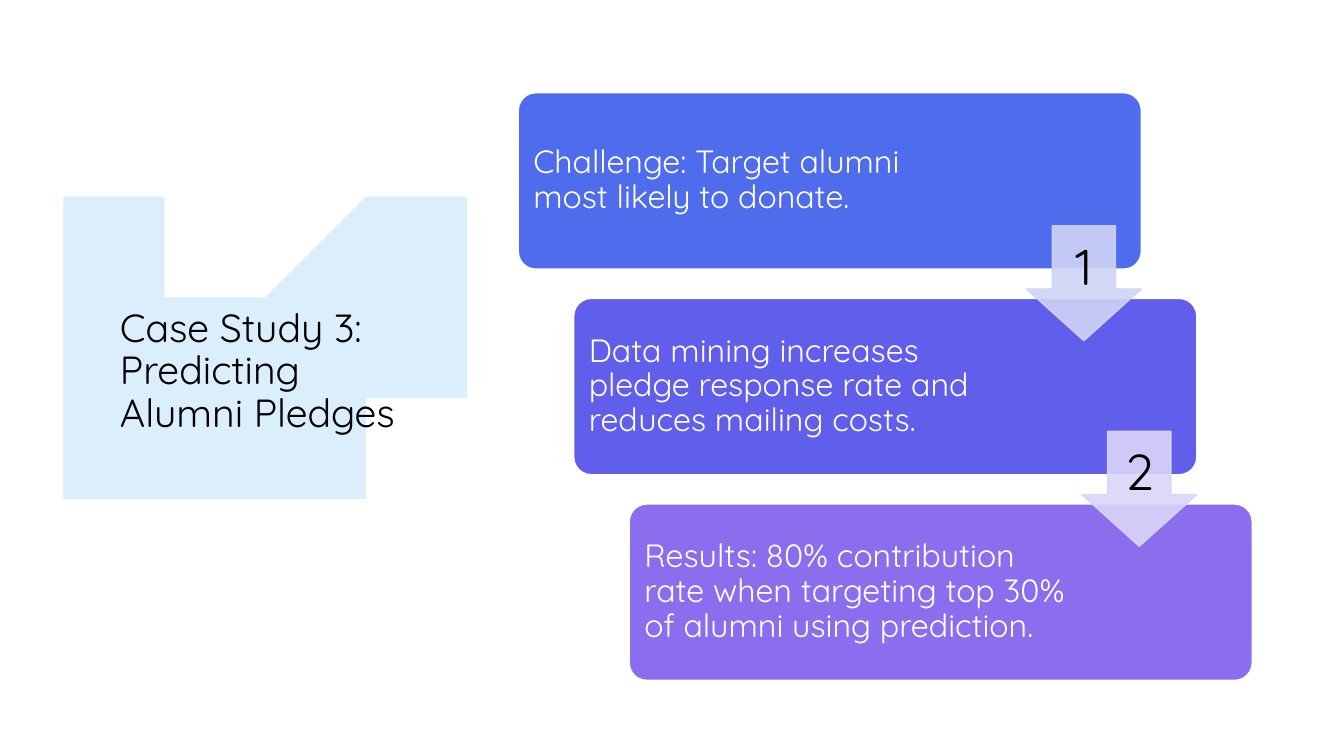
from dataclasses import dataclass
from lxml import etree
from pptx import Presentation
from pptx.dml.color import RGBColor
from pptx.enum.shapes import MSO_SHAPE
from pptx.enum.text import MSO_ANCHOR, PP_ALIGN
from pptx.oxml.ns import qn
from pptx.util import Inches, Pt

ROUND = MSO_SHAPE.ROUNDED_RECTANGLE
ARROW = MSO_SHAPE.DOWN_ARROW
MIDDLE = MSO_ANCHOR.MIDDLE
LEFT, CENTER = PP_ALIGN.LEFT, PP_ALIGN.CENTER


@dataclass(frozen=True)
class Theme:
    """Colours, font and type sizes of the slide."""
    font: str = "Quicksand"
    ink: str = "000000"
    paper: str = "FFFFFF"
    brush: str = "DAEEFB"
    cards: tuple = ("4E6CEB", "615EEC", "8B6EEE")
    arrows: tuple = ("D0D4F7", "DAD5F8")
    alpha: int = 90
    title: int = 28
    body: int = 23
    digit: int = 36


THEME = Theme()

STEPS = (
    "Challenge: Target alumni most likely to donate.",
    "Data mining increases pledge response rate and reduces mailing costs.",
    "Results: 80% contribution rate when targeting top 30% of alumni using prediction.",
)

TOP = ((0.23, 0.25), (1.1, 0.9), (2.2, 0.85), (3.67, 0))
RIGHT = ((3.75, 0.08), (3.85, 0.95), (4.45, 1.5), (3.65, 2.3))
BASE = ((3.65, 2.3), (3.64, 2.3), (2.94, 3.09), (1.92, 3.16))
HEEL = ((1.92, 3.16), (1.5, 3.2), (0.8, 3.15), (0.6, 2.95))
TIPS = ((0.45, 2.9), (-0.25, 2.2), (0.1, 1.2), (0.23, 0.25))
DEPTHS = (0.15, 0.35, 0.22)


def color(hue):
    """Turn a hex string into a colour."""
    return RGBColor.from_string(hue)


def write(shape, text, size, hue, align=LEFT):
    """Set one styled paragraph in a shape."""
    frame = shape.text_frame
    frame.word_wrap = True
    frame.vertical_anchor = MIDDLE
    frame.text = text
    para = frame.paragraphs[0]
    para.alignment = align
    para.line_spacing = 0.9
    para.font.name = THEME.font
    para.font.size = Pt(size)
    para.font.color.rgb = color(hue)


def inset(shape, all_round, right):
    """Set the text margins of a shape, with its own right one."""
    frame = shape.text_frame
    frame.margin_left = frame.margin_top = Inches(all_round)
    frame.margin_bottom = Inches(all_round)
    frame.margin_right = Inches(right)


def paint(shape, fill, edge):
    """Give a shape a flat fill and a thin line."""
    shape.shadow.inherit = False
    shape.fill.solid()
    shape.fill.fore_color.rgb = color(fill)
    shape.line.color.rgb = color(edge)
    shape.line.width = Pt(1)


def fade(shape):
    """Make the fill and line of a shape slightly clear."""
    for tone in shape.element.spPr.iter(qn("a:srgbClr")):
        etree.SubElement(tone, qn("a:alpha"), val=str(THEME.alpha * 1000))


def curve(poles, count):
    """Sample a cubic curve in equal steps."""
    spots = []
    for i in range(count + 1):
        t = i / count
        parts = ((1 - t) ** 3, 3 * t * (1 - t) ** 2, 3 * t * t * (1 - t), t ** 3)
        spots.append(tuple(sum(w * p[axis] for w, p in zip(parts, poles))
                           for axis in (0, 1)))
    return spots


def rough(poles, count, wave):
    """Shift every second point of a curve left and right by turns."""
    return [(x + (0, wave, 0, -wave)[i % 4], y)
            for i, (x, y) in enumerate(curve(poles, count))]


def comb(poles, count):
    """Cut slanted notches between bristle tips, steeper towards the end."""
    spots = curve(poles, count)
    for i in range(1, count, 2):
        x, y = spots[i]
        depth = DEPTHS[i // 2 % len(DEPTHS)]
        spots[i] = x + depth, y + depth * 0.6 * i / count
    return spots


def stroke(slide, left, top):
    """Draw a brush stroke: smooth top and base, rough right, bristles left."""
    edge = (curve(TOP, 24) + rough(RIGHT, 16, 0.04) + curve(BASE, 24)
            + curve(HEEL, 12) + comb(TIPS, 28))
    pen = slide.shapes.build_freeform(*edge[0], scale=Inches(1))
    pen.add_line_segments(edge[1:])
    brush = pen.convert_to_shape(Inches(left), Inches(top))
    paint(brush, THEME.brush, THEME.brush)
    brush.line.fill.background()
    return brush


def heading(slide, left, top):
    """Place the title over a brush stroke."""
    title = slide.shapes.title
    title.left, title.top = Inches(left + 0.46), Inches(top + 0.92)
    title.width, title.height = Inches(3.29), Inches(1.64)
    write(title, "Case Study 3: Predicting Alumni Pledges", THEME.title, THEME.ink)
    title.element.addprevious(stroke(slide, left, top).element)


def card(slide, left, top, text, fill):
    """Place one step of the stair."""
    box = slide.shapes.add_shape(
        ROUND, Inches(left), Inches(top), Inches(6.18), Inches(1.75))
    box.adjustments[0] = 0.1
    paint(box, fill, THEME.paper)
    inset(box, 0.1, 1.78)
    write(box, text, THEME.body, THEME.paper)


def arrow(slide, left, top, label, fill):
    """Place one numbered arrow between two steps."""
    side = Inches(1.14)
    mark = slide.shapes.add_shape(ARROW, Inches(left), Inches(top), side, side)
    mark.adjustments[0], mark.adjustments[1] = 0.55, 0.45
    paint(mark, fill, fill)
    fade(mark)
    inset(mark, 0.05, 0.05)
    write(mark, label, THEME.digit, THEME.ink, CENTER)


def stair(slide, left, top):
    """Place the steps and the arrows that join them."""
    spots = [(left + 0.55 * i, top + 2.04 * i) for i in range(len(STEPS))]
    for (x, y), text, fill in zip(spots, STEPS, THEME.cards):
        card(slide, x, y, text, fill)
    for i, ((x, y), fill) in enumerate(zip(spots, THEME.arrows), 1):
        arrow(slide, x + 5.04, y + 1.32, str(i), fill)


def main():
    """Build and save the slide."""
    deck = Presentation()
    deck.slide_width, deck.slide_height = Inches(13.33), Inches(7.5)
    slide = deck.slides.add_slide(deck.slide_layouts[5])
    heading(slide, 0.63, 1.95)
    stair(slide, 5.14, 0.92)
    deck.save("out.pptx")


if __name__ == "__main__":
    main()
